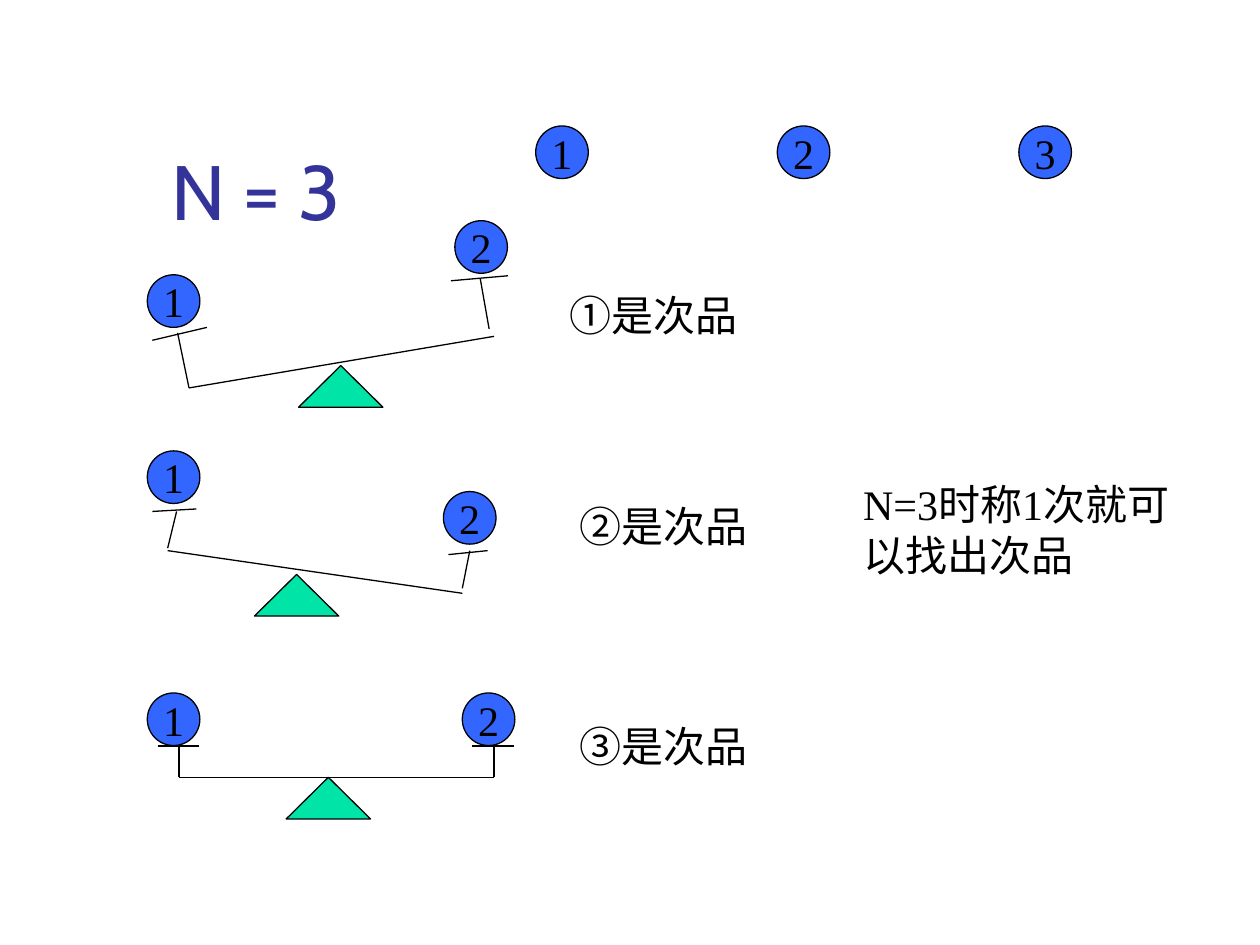
from lxml import etree
from pptx import Presentation
from pptx import util as u
from pptx.dml.color import RGBColor
from pptx.enum import shapes, text
from pptx.oxml.ns import qn

BLACK = RGBColor(0x00, 0x00, 0x00)
NAVY = RGBColor(0x33, 0x33, 0x99)
BLUE = RGBColor(0x33, 0x66, 0xFF)
GREEN = RGBColor(0x00, 0xE4, 0xA8)

# Each balance, in cm: fulcrum and balls as (left, top),
# beam, arms and pans as (x1, y1, x2, y2), verdict as (text, left, top, width)
BALANCES = [
    dict(fulcrum=(6.02, 7.37),
         lines=[(3.81, 7.82, 9.96, 6.78),
                (3.81, 7.82, 3.58, 6.71), (9.86, 6.63, 9.68, 5.61),
                (3.07, 6.86, 4.17, 6.6), (9.09, 5.66, 10.24, 5.56)],
         balls=[(2.97, 5.54), (9.17, 4.45)],
         verdict=("①是次品", 11.23, 5.72, 7.62)),
    dict(fulcrum=(5.13, 11.58),
         lines=[(3.38, 11.1, 9.32, 11.96),
                (3.38, 11.05, 3.56, 10.31), (9.32, 11.86, 9.47, 11.1),
                (3.07, 10.31, 3.96, 10.26), (9.04, 11.18, 9.83, 11.1)],
         balls=[(2.97, 9.09), (8.94, 9.91)],
         verdict=("②是次品", 11.43, 9.96, 5.28)),
    dict(fulcrum=(5.77, 15.67),
         lines=[(3.61, 15.67, 9.96, 15.67),
                (3.61, 15.67, 3.61, 15.04), (9.96, 15.67, 9.96, 15.04),
                (3.18, 15.04, 4.01, 15.04), (9.52, 15.04, 10.36, 15.04)],
         balls=[(2.97, 13.97), (9.32, 13.97)],
         verdict=("③是次品", 11.43, 14.4, 5.51)),
]


def write_text(frame, content, *, size=24, font="Times New Roman", color=BLACK,
               align=text.PP_ALIGN.LEFT, anchor=text.MSO_ANCHOR.TOP, wrap=True):
    frame.word_wrap = wrap
    frame.auto_size = text.MSO_AUTO_SIZE.NONE
    frame.vertical_anchor = anchor
    paragraph = frame.paragraphs[0]
    paragraph.alignment = align
    run = paragraph.add_run()
    run.text = content
    run.font.size = u.Pt(size)
    run.font.name = font
    run.font.color.rgb = color


class Board:
    line_width = u.Pt(0.75)
    ball_size = 1.06
    fulcrum_size = (1.7, 0.84)

    def __init__(self, slide):
        self.slide = slide

    def title(self, content, left, top, width, height):
        shape = self.slide.shapes.title
        shape.left, shape.top = u.Cm(left), u.Cm(top)
        shape.width, shape.height = u.Cm(width), u.Cm(height)
        write_text(shape.text_frame, content, size=44, font="Cabin",
                   color=NAVY, anchor=text.MSO_ANCHOR.BOTTOM)

    def label(self, content, left, top, width, height=1.27):
        box = self.slide.shapes.add_textbox(
            u.Cm(left), u.Cm(top), u.Cm(width), u.Cm(height))
        write_text(box.text_frame, content)

    def solid(self, group, kind, left, top, width, height, fill):
        shape = group.shapes.add_shape(
            kind, u.Cm(left), u.Cm(top), u.Cm(width), u.Cm(height))
        shape.shadow.inherit = False
        shape.fill.solid()
        shape.fill.fore_color.rgb = fill
        shape.line.color.rgb = BLACK
        shape.line.width = self.line_width
        return shape

    def ball(self, group, number, left, top):
        shape = self.solid(group, shapes.MSO_SHAPE.OVAL, left, top,
                           self.ball_size, self.ball_size, BLUE)
        write_text(shape.text_frame, str(number), align=text.PP_ALIGN.CENTER,
                   anchor=text.MSO_ANCHOR.MIDDLE, wrap=False)

    def line(self, group, x1, y1, x2, y2):
        connector = group.shapes.add_connector(
            shapes.MSO_CONNECTOR.STRAIGHT,
            u.Cm(x1), u.Cm(y1), u.Cm(x2), u.Cm(y2))
        connector.line.color.rgb = BLACK
        connector.line.width = self.line_width
        properties = connector._element.find(qn("p:spPr"))
        etree.SubElement(properties, qn("a:effectLst"))

    def balance(self, fulcrum, lines, balls, verdict):
        group = self.slide.shapes.add_group_shape()
        self.solid(group, shapes.MSO_SHAPE.ISOSCELES_TRIANGLE,
                   *fulcrum, *self.fulcrum_size, GREEN)
        for ends in lines:
            self.line(group, *ends)
        for number, position in enumerate(balls, 1):
            self.ball(group, number, *position)
        self.label(*verdict)


def main():
    presentation = Presentation()
    presentation.slide_width = u.Cm(25.4)
    presentation.slide_height = u.Cm(19.05)
    board = Board(presentation.slides.add_slide(presentation.slide_layouts[5]))

    board.title("N = 3", 3.2, 1.7, 21.64, 3.18)

    # The three balls to be tested
    row = board.slide.shapes.add_group_shape()
    for index in range(3):
        board.ball(row, index + 1, 10.8 + 4.87 * index, 2.54)

    # The three possible outcomes of one weighing
    for outcome in BALANCES:
        board.balance(**outcome)

    # Conclusion
    board.label("N=3时称1次就可以找出次品", 17.15, 9.53, 6.78, 2.29)

    presentation.save("out.pptx")


if __name__ == "__main__":
    main()
